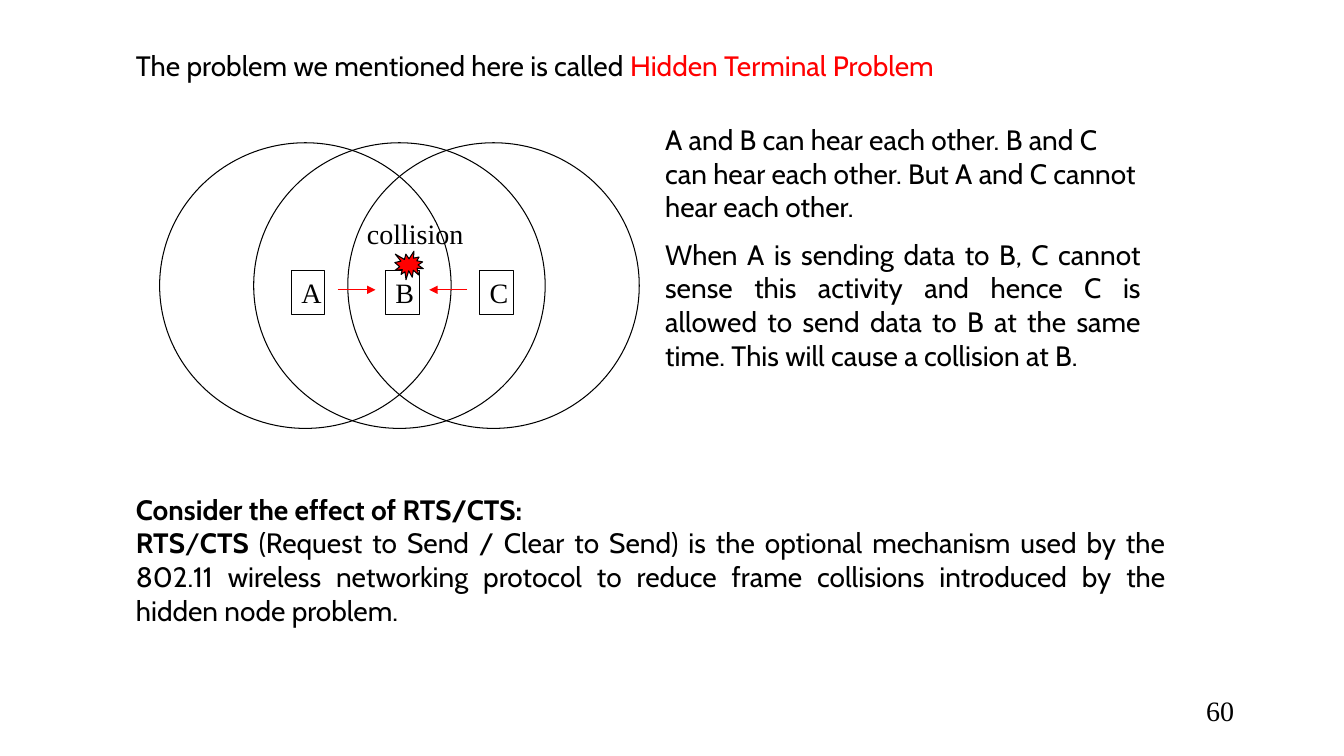
from dataclasses import dataclass

from lxml.etree import SubElement
from pptx import Presentation
from pptx.dml.color import RGBColor
from pptx.enum.shapes import MSO_CONNECTOR, MSO_SHAPE
from pptx.enum.text import MSO_ANCHOR, PP_ALIGN
from pptx.oxml.ns import qn
from pptx.util import Inches, Pt

BLACK = RGBColor(0x00, 0x00, 0x00)
RED = RGBColor(0xFF, 0x00, 0x00)
SANS = "Cabin"
SERIF = "Times New Roman"
COLUMNS, ROWS = 160, 90
PAGE_WIDTH, PAGE_HEIGHT = Inches(13.33), Inches(7.5)
STATION_STEP = 11.2


@dataclass
class Box:
    """A rectangle in columns and rows of the page grid."""
    left: float
    top: float
    width: float
    height: float

    def inner(self, left, top, width, height):
        """Return a box offset from this one's corner."""
        return Box(self.left + left, self.top + top, width, height)

    def lengths(self):
        """Return left, top, width and height in page units."""
        column, row = PAGE_WIDTH / COLUMNS, PAGE_HEIGHT / ROWS
        return (round(self.left * column), round(self.top * row),
                round(self.width * column), round(self.height * row))


def write_paragraphs(shape, paragraphs, font=SANS, anchor=MSO_ANCHOR.TOP, gap=0):
    """Fill a shape with (alignment, runs) paragraphs; a run is text, bold, colour."""
    frame = shape.text_frame
    frame.word_wrap = True
    frame.vertical_anchor = anchor
    for index, (alignment, runs) in enumerate(paragraphs):
        para = frame.add_paragraph() if index else frame.paragraphs[0]
        para.alignment = alignment
        if index:
            para.space_before = Pt(gap)
        for text, bold, color in runs:
            span = para.add_run()
            span.text = text
            span.font.name = font
            span.font.size = Pt(20)
            span.font.bold = bold
            span.font.color.rgb = color


def add_text(page, box, paragraphs, **style):
    """Place a text box holding the paragraphs."""
    write_paragraphs(page.shapes.add_textbox(*box.lengths()), paragraphs, **style)


def add_outline(page, kind, box, fill=None):
    """Place a thin black outlined shape, filled if a colour is given."""
    shape = page.shapes.add_shape(kind, *box.lengths())
    shape.shadow.inherit = False
    shape.line.color.rgb = BLACK
    shape.line.width = Pt(0.75)
    if fill is None:
        shape.fill.background()
    else:
        shape.fill.solid()
        shape.fill.fore_color.rgb = fill
    return shape


def add_arrow(page, box):
    """Draw a red horizontal arrow along the box; a negative width points left."""
    left, top, width, height = box.lengths()
    arrow = page.shapes.add_connector(
        MSO_CONNECTOR.STRAIGHT, left, top, left + width, top + height)
    arrow.line.color.rgb = RED
    arrow.line.width = Pt(0.75)
    SubElement(arrow.line._get_or_add_ln(), qn("a:tailEnd"), type="triangle")
    SubElement(arrow._element.spPr, qn("a:effectLst"))


def add_title(page, box):
    """Write the title line."""
    runs = [("The problem we mentioned here is called ", False, BLACK),
            ("Hidden Terminal Problem", False, RED)]
    add_text(page, box, [(PP_ALIGN.JUSTIFY, runs)], anchor=MSO_ANCHOR.MIDDLE)


def add_handshake(page, box):
    """Write the paragraph on RTS/CTS."""
    heading = [("Consider the effect of RTS/CTS:", True, BLACK)]
    body = [("RTS", True, BLACK), ("/", False, BLACK), ("CTS", True, BLACK),
            (" (Request to Send / Clear to Send) is the optional mechanism used "
             "by the 802.11 wireless networking protocol to reduce frame "
             "collisions introduced by the hidden node problem.", False, BLACK)]
    add_text(page, box, [(PP_ALIGN.JUSTIFY, heading), (PP_ALIGN.JUSTIFY, body)])


def add_explanation(page, box):
    """Write who can hear whom and why a collision follows."""
    hearing = ("A and B can hear each other. B and C can hear each other. "
               "But A and C cannot hear each other.")
    sending = ("When A is sending data to B, C cannot sense this activity and "
               "hence C is allowed to send data to B at the same time. "
               "This will cause a collision at B.")
    add_text(page, box, [(PP_ALIGN.LEFT, [(hearing, False, BLACK)]),
                         (PP_ALIGN.JUSTIFY, [(sending, False, BLACK)])], gap=10)


def add_range_diagram(page, box):
    """Draw three stations with their ranges and the collision at B."""
    for index, name in enumerate("ABC"):
        offset = index * STATION_STEP
        add_outline(page, MSO_SHAPE.OVAL, box.inner(offset, 0, 34.7, box.height))
        station = add_outline(page, MSO_SHAPE.RECTANGLE,
                              box.inner(offset + 15.7, 15.2, 4, 5.3))
        write_paragraphs(station, [(PP_ALIGN.CENTER, [(name, False, BLACK)])],
                         font=SERIF)
    add_arrow(page, box.inner(21.2, 17.5, 4.5, 0))
    add_arrow(page, box.inner(36.6, 17.5, -4.5, 0))
    add_outline(page, MSO_SHAPE.EXPLOSION1, box.inner(28, 12.9, 3.4, 3.4), RED)
    add_text(page, box.inner(23.5, 8.2, 14.5, 5.3),
             [(PP_ALIGN.LEFT, [("collision", False, BLACK)])], font=SERIF)


def add_page_number(page, box):
    """Write the page number."""
    add_text(page, box, [(PP_ALIGN.RIGHT, [("60", False, BLACK)])], font=SERIF)


def main():
    """Build and save the deck."""
    deck = Presentation()
    deck.slide_width, deck.slide_height = PAGE_WIDTH, PAGE_HEIGHT
    page = deck.slides.add_slide(deck.slide_layouts[6])
    add_page_number(page, Box(114.7, 82, 33.4, 6))
    add_title(page, Box(15, 3, 121, 9.5))
    add_handshake(page, Box(15, 58, 125, 17.4))
    add_explanation(page, Box(78, 14, 59, 31.5))
    add_range_diagram(page, Box(19, 17, 57.1, 34))
    deck.save("out.pptx")


if __name__ == "__main__":
    main()
